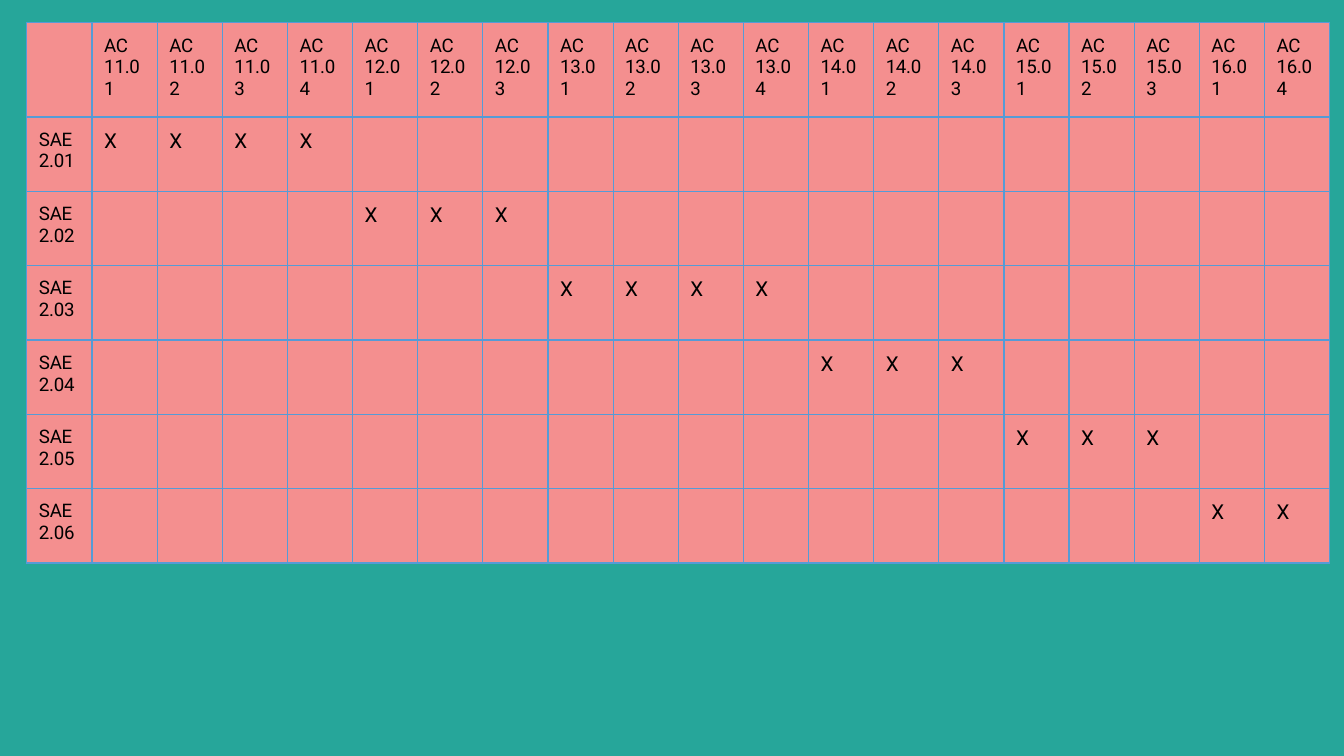
import pptx
import pptx.dml.color
import pptx.oxml
import pptx.oxml.ns
import pptx.util
from pptx.util import Inches

COLORS = {"background": "26A69A", "cell": "F48F8F", "border": "559BD6", "text": "000000"}
FONT = "Roboto"
SLIDE_WIDTH = 10
SLIDE_HEIGHT = SLIDE_WIDTH * 9 / 16

# Project (SAE) -> learning outcomes (AC) it covers, as prefix and final digits
COVERAGE = {
    "2.01": ("11.0", "1234"),
    "2.02": ("12.0", "123"),
    "2.03": ("13.0", "1234"),
    "2.04": ("14.0", "123"),
    "2.05": ("15.0", "123"),
    "2.06": ("16.0", "14"),
}


def rgb(name):
    return pptx.dml.color.RGBColor.from_string(COLORS[name])


def add_borders(cell):
    """Draw all four sides; must run before the fill so the XML order is valid."""
    properties = cell._tc.get_or_add_tcPr()
    for side in ("lnL", "lnR", "lnT", "lnB"):
        properties.append(pptx.oxml.parse_xml(
            f'<a:{side} {pptx.oxml.ns.nsdecls("a")} w="{pptx.util.Pt(0.75)}">'
            f'<a:solidFill><a:srgbClr val="{COLORS["border"]}"/></a:solidFill></a:{side}>'))


def write_paragraph(paragraph, runs, size=10, before=0):
    """Write (text, letter spacing in points) runs into an indented paragraph."""
    paragraph.font.size = pptx.util.Pt(size)
    paragraph.font.name = FONT
    paragraph.font.color.rgb = rgb("text")
    paragraph.space_before = pptx.util.Pt(before)
    properties = paragraph._p.get_or_add_pPr()
    properties.set("marL", str(Inches(0.09)))
    properties.set("indent", "0")
    for text, spacing in runs:
        run = paragraph.add_run()
        run.text = text
        run.font._element.set("spc", str(round(spacing * 100)))


def write_cell(cell, runs, size=10):
    cell.margin_left = cell.margin_right = cell.margin_bottom = 0
    cell.margin_top = Inches(0.09)
    write_paragraph(cell.text_frame.paragraphs[0], runs, size, before=6.3)


def write_outcome(cell, prefix, digit):
    if prefix.startswith("11"):
        runs = [("AC ", -0.1), ("1", -0.8), ("1.0", -0.1)]
    else:
        runs = [(f"AC {prefix}", -0.1)]
    write_cell(cell, runs)
    write_paragraph(cell.text_frame.add_paragraph(), [(digit, 0)])


def add_coverage_table(slide, left, top, width, height, header_height=0.7):
    outcome_count = sum(len(digits) for _, digits in COVERAGE.values())
    row_count, column_count = len(COVERAGE) + 1, outcome_count + 1
    table = slide.shapes.add_table(
        row_count, column_count,
        Inches(left), Inches(top), Inches(width), Inches(height)).table
    table.first_row = table.horz_banding = False

    for column in table.columns:
        column.width = Inches(width / column_count)
    for row in table.rows:
        row.height = Inches((height - header_height) / len(COVERAGE))
    table.rows[0].height = Inches(header_height)

    for cell in table.iter_cells():
        add_borders(cell)
        cell.fill.solid()
        cell.fill.fore_color.rgb = rgb("cell")

    column = 1
    for row, (project, (prefix, digits)) in enumerate(COVERAGE.items(), start=1):
        write_cell(table.cell(row, 0), [(f"SAE {project}", -0.1)])
        for digit in digits:
            write_outcome(table.cell(0, column), prefix, digit)
            write_cell(table.cell(row, column), [("Χ", 0)], size=11)
            column += 1


def main():
    presentation = pptx.Presentation()
    presentation.slide_width = Inches(SLIDE_WIDTH)
    presentation.slide_height = Inches(SLIDE_HEIGHT)
    slide = presentation.slides.add_slide(presentation.slide_layouts[6])
    slide.background.fill.solid()
    slide.background.fill.fore_color.rgb = rgb("background")
    add_coverage_table(slide, left=0.2, top=0.17, width=9.7, height=4.02)
    presentation.save("out.pptx")


if __name__ == "__main__":
    main()
